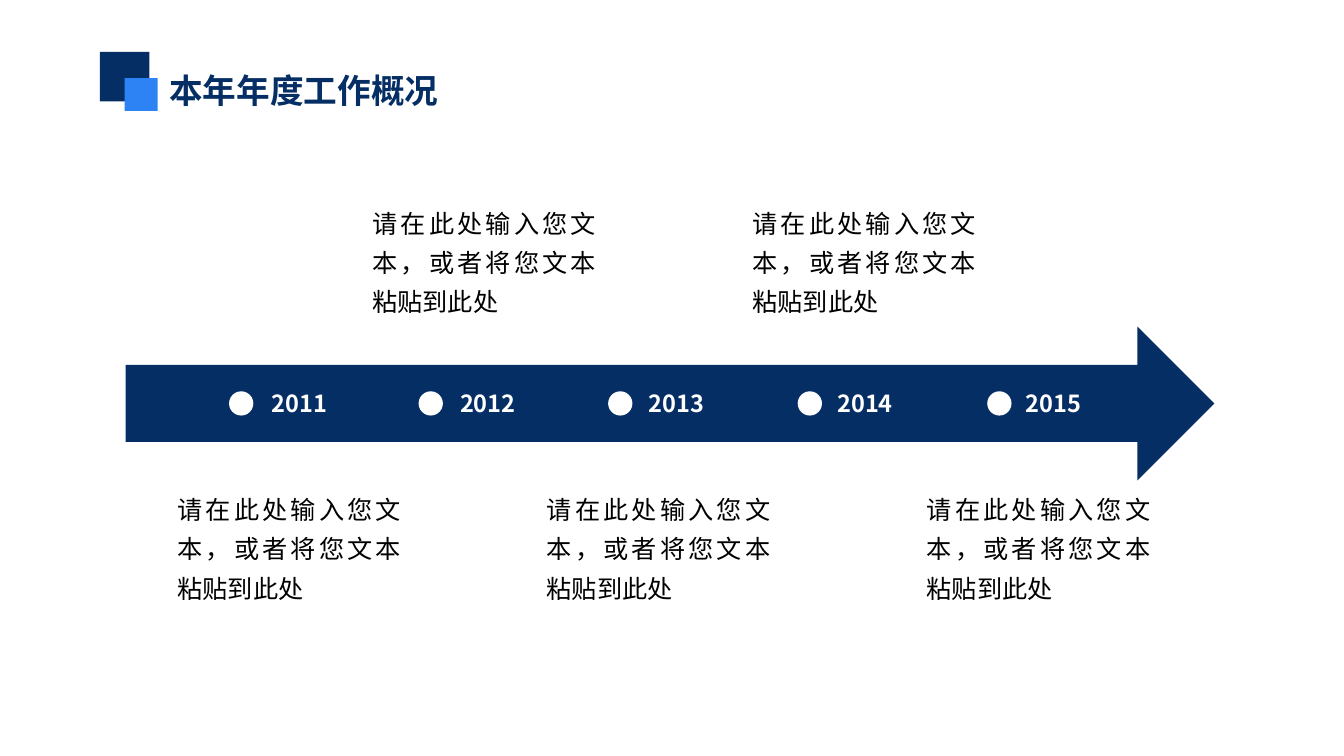
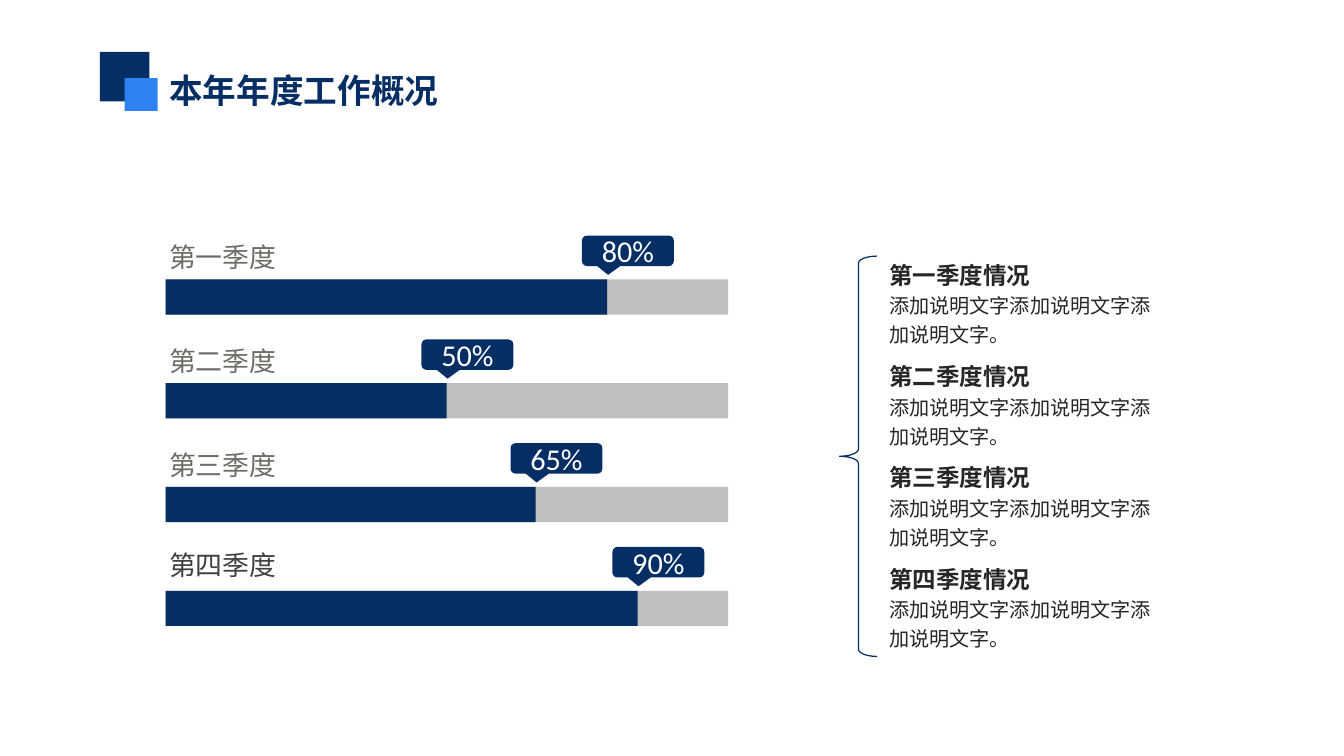
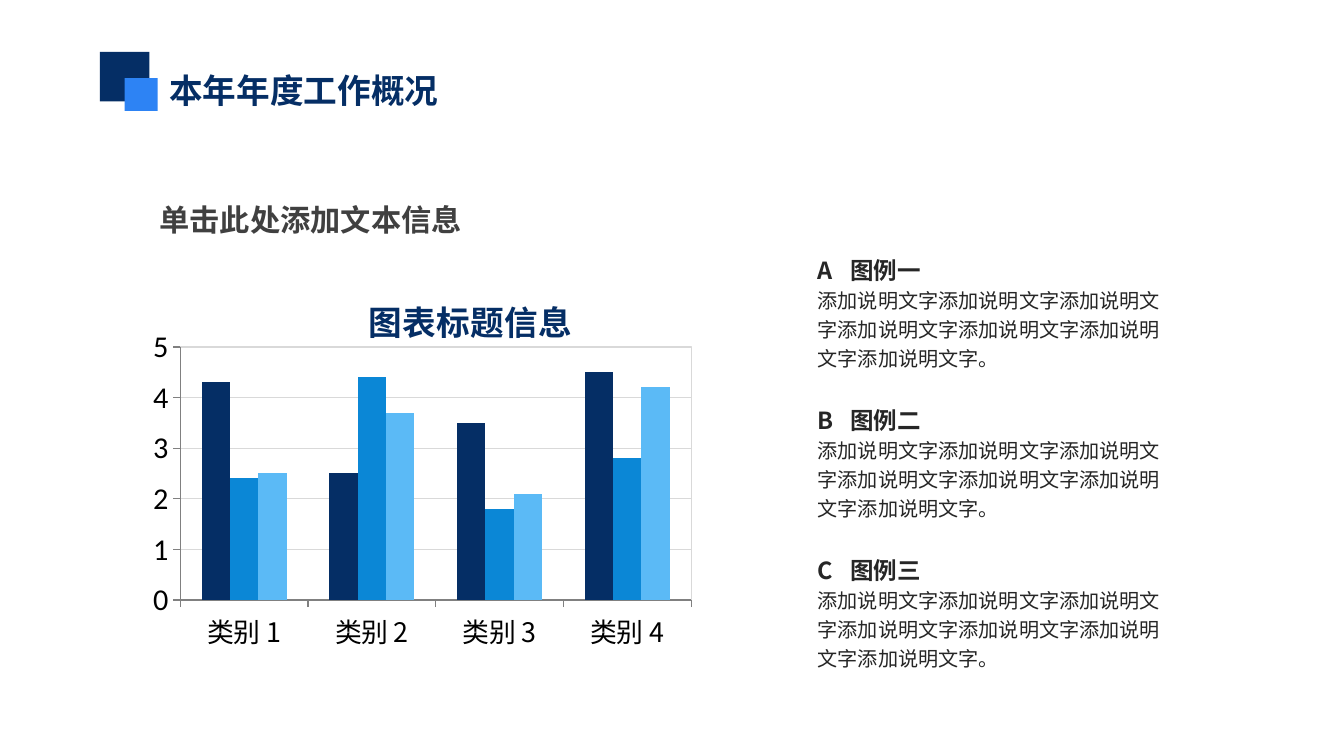
from collections import namedtuple

from lxml.etree import SubElement
from pptx import Presentation
from pptx.chart.data import CategoryChartData
from pptx.dml.color import RGBColor
from pptx.enum.chart import XL_CHART_TYPE, XL_TICK_MARK
from pptx.enum.shapes import MSO_SHAPE
from pptx.enum.text import MSO_ANCHOR, MSO_AUTO_SIZE, PP_ALIGN
from pptx.oxml import parse_xml
from pptx.oxml.ns import nsdecls, qn
from pptx.util import Cm, Pt

COLORS = {
    "navy": "052E65",
    "accent": "2D83F4",
    "blue": "0B87D6",
    "sky": "5BBAF6",
    "track": "BFBFBF",
    "grid": "D9D9D9",
    "axis": "808080",
    "label": "6E6C67",
    "dark": "404040",
    "ink": "262626",
    "black": "000000",
    "white": "FFFFFF",
}
CJK_FONT = "Noto Sans CJK SC"
LATIN_FONT = "Calibri"
TITLE = "本年年度工作概况"
PHRASE = "添加说明文字"

Box = namedtuple("Box", "left top width height")  # centimetres


def color(name):
    return RGBColor.from_string(COLORS[name])


def in_cm(box):
    return [Cm(round(value, 2)) for value in box]


def set_font(font, size, color_name, bold=False, name=CJK_FONT):
    """Style a font for both Latin and East Asian letters."""
    font.size, font.bold, font.name = Pt(size), bold, name
    font.color.rgb = color(color_name)
    SubElement(font._rPr, qn("a:ea")).set("typeface", name)


def add_block(shapes, kind, box, fill, adjustments=()):
    block = shapes.add_shape(kind, *in_cm(box))
    block.shadow.inherit = False
    block.fill.solid()
    block.fill.fore_color.rgb = color(fill)
    block.line.fill.background()
    for index, value in enumerate(adjustments):
        block.adjustments[index] = value
    return block


def write(para, text, size, color_name, bold=False, align=PP_ALIGN.LEFT,
          spacing=None, name=CJK_FONT):
    para.text = text
    para.alignment = align
    if spacing:
        para.line_spacing = spacing
    set_font(para.font, size, color_name, bold, name)


def add_text(shapes, box, text, size, color_name, **style):
    frame = shapes.add_textbox(*in_cm(box)).text_frame
    frame.word_wrap = True
    write(frame.paragraphs[0], text, size, color_name, **style)
    return frame


def add_page(deck):
    """Add a slide with the shared title and its two squares."""
    page = deck.slides.add_slide(deck.slide_layouts[5])
    title = page.shapes.title
    title.left, title.top, title.width, title.height = in_cm(Box(3.3, 1.35, 6.4, 1.12))
    frame = title.text_frame
    frame.auto_size = MSO_AUTO_SIZE.NONE
    frame.vertical_anchor = MSO_ANCHOR.TOP
    write(frame.paragraphs[0], TITLE, 20, "navy", bold=True)
    add_block(page.shapes, MSO_SHAPE.RECTANGLE, Box(2.1, 1.09, 1.04, 1.04), "navy")
    add_block(page.shapes, MSO_SHAPE.RECTANGLE, Box(2.62, 1.64, 0.69, 0.69), "accent")
    return page


def add_timeline(page, box):
    """Draw the year arrow in the box, with notes above and below it."""
    add_block(page.shapes, MSO_SHAPE.RIGHT_ARROW, box, "navy")
    middle = box.top + box.height / 2
    dot, label_height = 0.51, 0.86
    note_offsets = (0.81, 4.9, 8.56, 12.88, 16.54)
    for index, note_offset in enumerate(note_offsets):
        add_block(page.shapes, MSO_SHAPE.OVAL,
                  Box(box.left + 2.17 + 3.98 * index, middle - dot / 2, dot, dot), "white")
        add_text(page.shapes,
                 Box(box.left + 2.41 + 3.96 * index, middle - label_height / 2 - 0.01,
                     2.47, label_height),
                 str(2011 + index), 14, "white", bold=True, align=PP_ALIGN.CENTER)
        note_top = box.top + (-2.8 if index % 2 else 3.21)
        note = add_text(page.shapes, Box(box.left + note_offset, note_top, 5.26, 2.77),
                        "请在此处输入您文本，或者将您文本粘贴到此处", 15, "black",
                        align=PP_ALIGN.JUSTIFY, spacing=1.3)
        note.margin_left = note.margin_right = Cm(0.28)


def add_progress_bar(page, box, name, percent, filled, label_rise, label_color):
    """Draw one quarter's bar in the box, its label and its callout."""
    shapes = page.shapes.add_group_shape().shapes
    add_block(shapes, MSO_SHAPE.RECTANGLE, box, "track")
    add_block(shapes, MSO_SHAPE.RECTANGLE, box._replace(width=filled), "navy")
    add_text(shapes, Box(box.left - 0.18, box.top - label_rise, 3.23, 0.93),
             name, 16, label_color)
    callout = add_block(page.shapes, MSO_SHAPE.ROUNDED_RECTANGULAR_CALLOUT,
                        Box(box.left + filled - 0.53, box.top - 0.92, 1.93, 0.64),
                        "navy", (-0.216, 0.79, 0.167))
    callout.text_frame.vertical_anchor = MSO_ANCHOR.MIDDLE
    write(callout.text_frame.paragraphs[0], percent, 18, "white",
          align=PP_ALIGN.CENTER, name=LATIN_FONT)


def add_brace(page, box):
    brace = page.shapes.add_shape(MSO_SHAPE.LEFT_BRACE, *in_cm(box))
    brace.shadow.inherit = False
    brace.fill.background()
    brace.line.color.rgb = color("navy")
    brace.line.width = Pt(0.75)
    brace.adjustments[0] = 0.19
    brace.adjustments[1] = 0.5


def add_notes(page, first_box, pitch, headings, body):
    """Stack headed notes downwards from the first box."""
    for index, heading in enumerate(headings):
        box = first_box._replace(top=first_box.top + pitch * index)
        frame = add_text(page.shapes, box, heading, 14, "ink", bold=True, spacing=1.2)
        if "\t" in heading:
            set_tab_stop(frame.paragraphs[0], Cm(0.68))
        write(frame.add_paragraph(), body, 12, "ink", spacing=1.2)


def set_tab_stop(para, position):
    tabs = parse_xml(f'<a:tabLst {nsdecls("a")}><a:tab pos="{position}" algn="l"/></a:tabLst>')
    para._p.pPr.find(qn("a:defRPr")).addprevious(tabs)


def set_layout(element, index, target="", **fractions):
    """Give a chart part a fixed place, as fractions of the chart."""
    for old in element.findall(qn("c:layout")):
        element.remove(old)
    layout = parse_xml(f'<c:layout {nsdecls("c")}><c:manualLayout/></c:layout>')
    manual = layout[0]
    if target:
        SubElement(manual, qn("c:layoutTarget")).set("val", target)
    for key in ("x", "y"):
        SubElement(manual, qn(f"c:{key}Mode")).set("val", "edge")
    for key, value in fractions.items():
        SubElement(manual, qn(f"c:{key}")).set("val", str(value))
    element.insert(index, layout)


def add_column_chart(page, box):
    data = CategoryChartData()
    data.categories = [f"类别 {number}" for number in range(1, 5)]
    data.add_series("Series 1", (4.3, 2.5, 3.5, 4.5))
    data.add_series("Series 2", (2.4, 4.4, 1.8, 2.8))
    data.add_series("Series 3", (2.5, 3.7, 2.1, 4.2))
    chart = page.shapes.add_chart(XL_CHART_TYPE.COLUMN_CLUSTERED, *in_cm(box), data).chart
    set_font(chart.font, 18, "black", name=LATIN_FONT)
    chart.has_legend = False

    chart.has_title = True
    title = chart.chart_title
    write(title.text_frame.paragraphs[0], "图表标题信息", 20, "navy", bold=True,
          align=PP_ALIGN.CENTER)
    set_layout(title._element, 1, x=0.34, y=0.04)

    plot = chart.plots[0]
    plot.gap_width, plot.overlap, plot.vary_by_categories = 150, 0, False
    for series, fill in zip(plot.series, ("navy", "blue", "sky")):
        series.format.fill.solid()
        series.format.fill.fore_color.rgb = color(fill)

    values, categories = chart.value_axis, chart.category_axis
    for axis in (values, categories):
        axis.major_tick_mark = XL_TICK_MARK.OUTSIDE
        axis.minor_tick_mark = XL_TICK_MARK.NONE
        axis.format.line.color.rgb = color("axis")
    set_font(categories.tick_labels.font, 16, "black")
    values.minimum_scale, values.maximum_scale, values.major_unit = 0, 5, 1
    values.has_major_gridlines = True
    grid = values.major_gridlines.format.line
    grid.color.rgb = color("grid")
    grid.width = Pt(0.75)

    plot_area = chart._chartSpace.chart.plotArea
    set_layout(plot_area, 0, "inner", x=0.074, y=0.192, w=0.745, h=0.638)
    plot_area.append(parse_xml(
        f'<c:spPr {nsdecls("c", "a")}><a:noFill/><a:ln w="9525"><a:solidFill>'
        f'<a:srgbClr val="{COLORS["grid"]}"/></a:solidFill></a:ln></c:spPr>'))


def build_timeline_page(deck):
    add_timeline(add_page(deck), Box(2.64, 6.86, 22.86, 3.23))


def build_quarters_page(deck):
    page = add_page(deck)
    quarters = (
        ("第一季度", "80%", 9.27, 0.93, "label"),
        ("第二季度", "50%", 5.9, 0.93, "label"),
        ("第三季度", "65%", 7.77, 0.93, "label"),
        ("第四季度", "90%", 9.91, 1.02, "dark"),
    )
    for index, quarter in enumerate(quarters):
        add_progress_bar(page, Box(3.48, 5.87 + 2.18 * index, 11.81, 0.74), *quarter)
    add_brace(page, Box(17.63, 5.38, 0.79, 8.41))
    add_notes(page, Box(18.42, 5.23, 6.4, 2.29), 2.13,
              [f"{quarter[0]}情况" for quarter in quarters], PHRASE * 3 + "。")


def build_chart_page(deck):
    page = add_page(deck)
    add_column_chart(page, Box(2.72, 5.69, 14.4, 8.33))
    add_text(page.shapes, Box(3.1, 4.11, 7.39, 1.02), "单击此处添加文本信息", 18, "dark",
             bold=True)
    add_notes(page, Box(16.92, 5.13, 8, 2.9), 3.15,
              ("A\t图例一", "B\t图例二", "C\t图例三"), PHRASE * 7 + "。")


def main():
    deck = Presentation()
    deck.slide_width, deck.slide_height = Cm(28.22), Cm(15.88)
    build_timeline_page(deck)
    build_quarters_page(deck)
    build_chart_page(deck)
    deck.save("out.pptx")


if __name__ == "__main__":
    main()
